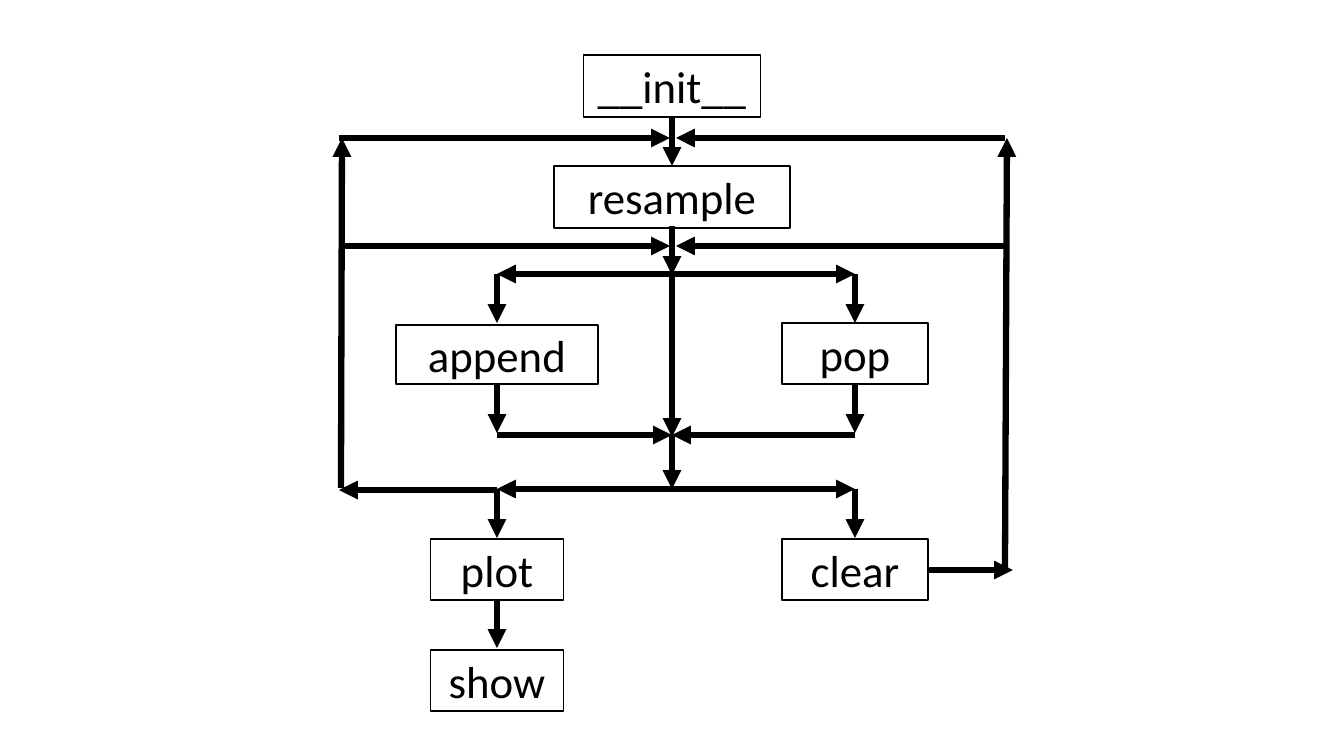
from lxml.etree import SubElement
from pptx import Presentation
from pptx.dml.color import RGBColor
from pptx.enum.shapes import MSO_CONNECTOR, MSO_SHAPE
from pptx.enum.text import MSO_ANCHOR, PP_ALIGN
from pptx.oxml.ns import qn
from pptx.util import Emu, Pt

SCALE = 12192000 / 1344
COLORS = {"ink": "000000", "paper": "FFFFFF"}


def pixels(*lengths):
    return [Emu(round(length * SCALE)) for length in lengths]


def write(box, text, font="Calibri", size=32, color="ink", align=PP_ALIGN.CENTER):
    box.text_frame.vertical_anchor = MSO_ANCHOR.MIDDLE
    para = box.text_frame.paragraphs[0]
    para.alignment = align
    span = para.add_run()
    span.text = text
    span.font.name = font
    span.font.size = Pt(size)
    span.font.color.rgb = RGBColor.from_string(COLORS[color])


deck = Presentation()
deck.slide_width, deck.slide_height = pixels(1344, 756)
page = deck.slides.add_slide(deck.slide_layouts[6])

left, center, right = 497, 672, 855
loop_left, loop_right = 341, 1006
split, merge, choice = 274, 435, 489
before_resample, after_resample = 138, 246
step = 49

methods = [
    ("__init__", center, 55, 177, 62),
    ("resample", center, 166, 236, 62),
    ("append", left, 325, 202, 59),
    ("pop", right, 323, 146, 61),
    ("plot", left, 539, 133, 61),
    ("show", left, 650, 133, 61),
    ("clear", right, 539, 146, 61),
]
for name, middle, top, width, height in methods:
    box = page.shapes.add_shape(
        MSO_SHAPE.RECTANGLE, *pixels(middle - width / 2, top, width, height)
    )
    box.shadow.inherit = False
    box.fill.solid()
    box.fill.fore_color.rgb = RGBColor.from_string(COLORS["paper"])
    box.line.color.rgb = RGBColor.from_string(COLORS["ink"])
    box.line.width = Pt(1)
    write(box, name)

step_starts = [
    (center, 117), (center, 226), (left, split), (right, split), (left, 384),
    (right, 384), (left, choice), (right, choice), (left, 599),
]
arrows = [(x, y, x, y + step) for x, y in step_starts]
for side in (left, right):
    arrows += [
        (center, split, side, split),
        (side, merge, center, merge),
        (center, choice, side, choice),
    ]
for level in (before_resample, after_resample):
    arrows += [
        (loop_left - 2, level, center - 2, level),
        (loop_right - 1, level, center + 4, level),
    ]
arrows += [
    (center, split, center, merge + 2),
    (center, merge, center, choice),
    (left, choice + 1, loop_left - 2, choice + 1),
    (loop_left, choice - 1, loop_left + 1, before_resample),
    (929, 570, 1013, 570),
    (loop_right - 1, 570, loop_right + 1, before_resample),
]
for ends in arrows:
    arrow = page.shapes.add_connector(MSO_CONNECTOR.STRAIGHT, *pixels(*ends))
    arrow.line.color.rgb = RGBColor.from_string(COLORS["ink"])
    arrow.line.width = Pt(4.5)
    SubElement(arrow.line._get_or_add_ln(), qn("a:tailEnd"), type="triangle")
    SubElement(arrow._element.spPr, qn("a:effectLst"))

deck.save("out.pptx")
